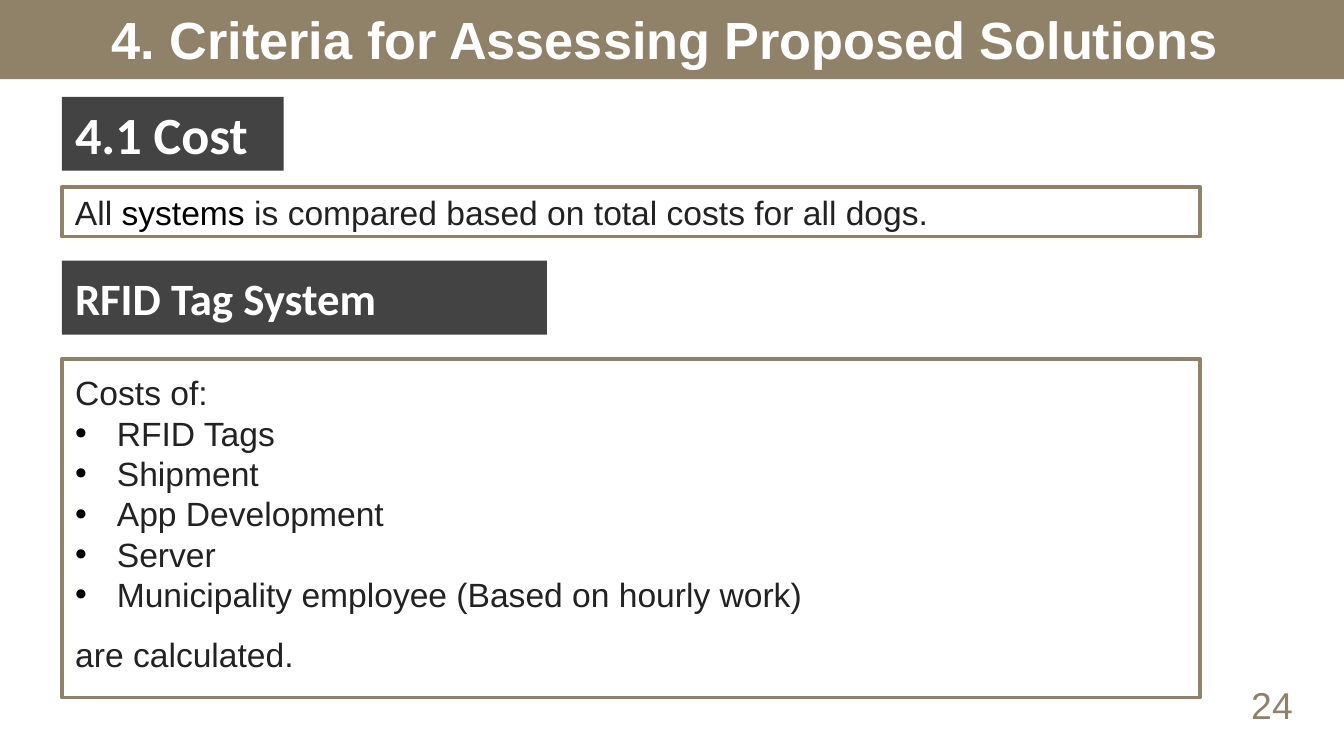
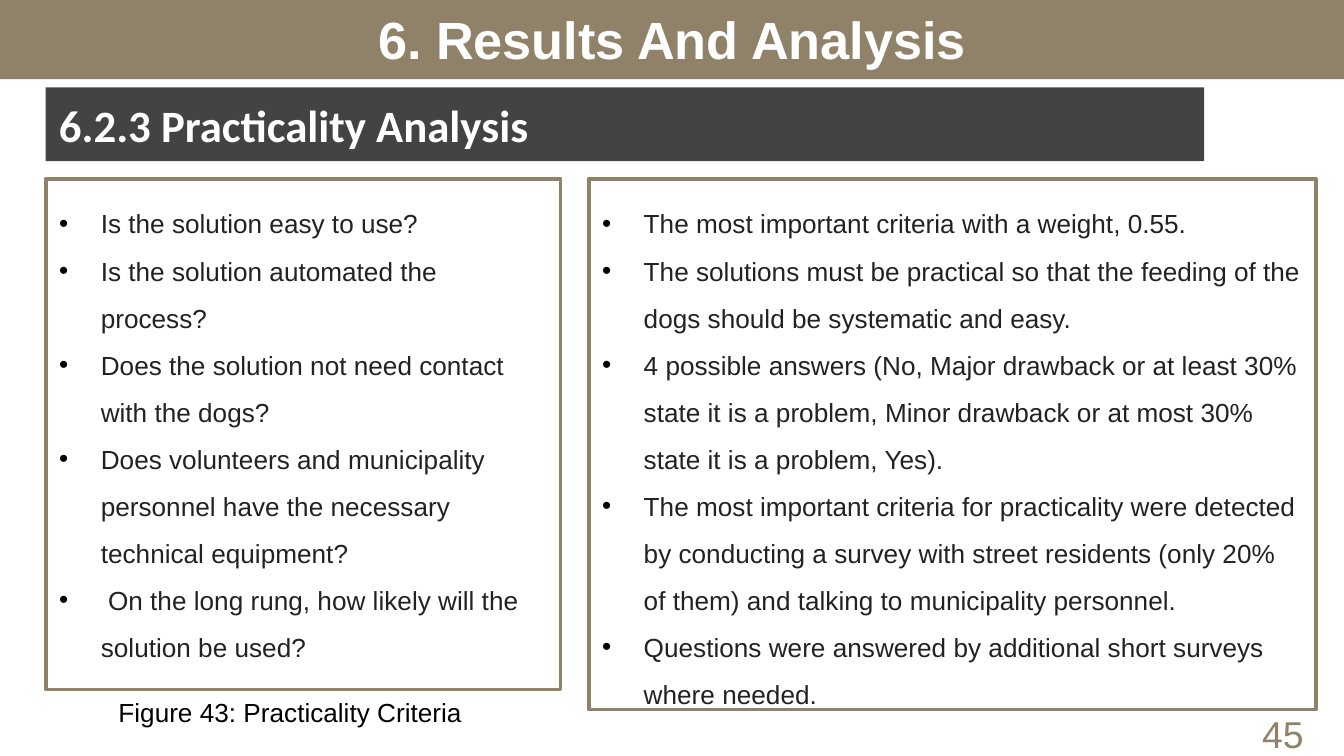
from lxml import etree
from pptx import Presentation
from pptx.dml.color import RGBColor
from pptx.enum import shapes, text
from pptx.oxml import ns
from pptx.util import Inches, Pt

SAND = RGBColor(0x90, 0x82, 0x69)
CHARCOAL = RGBColor(0x43, 0x43, 0x43)
INK = RGBColor(0x22, 0x22, 0x22)
BLACK = RGBColor(0, 0, 0)
WHITE = RGBColor(0xFF, 0xFF, 0xFF)

TITLE_AND_CONTENT, TWO_CONTENT = 1, 3
PAGE_WIDTH = Inches(10)
PAGE_HEIGHT = PAGE_WIDTH * 9 // 16
BAND = (0, -0.01, 10, 0.6)
BULLET_INDENT = 0.31

COST_ITEMS = [
    "RFID Tags",
    "Shipment",
    "App Development",
    "Server",
    "Municipality employee (Based on hourly work)",
]
PRACTICALITY_QUESTIONS = [
    "Is the solution easy to use?",
    "Is the solution automated the process?",
    "Does the solution not need contact with the dogs?",
    "Does volunteers and municipality personnel have the necessary technical equipment?",
    " On the long rung, how likely will the solution be used?",
]
PRACTICALITY_FINDINGS = [
    "The most important criteria with a weight, 0.55.",
    "The solutions must be practical so that the feeding of the dogs should be "
    "systematic and easy.",
    "4 possible answers (No, Major drawback or at least 30% state it is a problem, "
    "Minor drawback or at most 30% state it is a problem, Yes).",
    "The most important criteria for practicality were detected by conducting a survey "
    "with street residents (only 20% of them) and talking to municipality personnel.",
    "Questions were answered by additional short surveys where needed.",
]


def place(shape, area):
    shape.left, shape.top, shape.width, shape.height = map(Inches, area)


def set_frame(shape, anchor, inset=0.1):
    frame = shape.text_frame
    frame.word_wrap = True
    frame.auto_size = text.MSO_AUTO_SIZE.NONE
    frame.vertical_anchor = anchor
    frame.margin_left = frame.margin_right = Inches(0.1)
    frame.margin_top = frame.margin_bottom = Inches(inset)
    return frame


def add_span(para, words, size, color, font="Arial", bold=False):
    span = para.add_run()
    span.text = words
    span.font.name = font
    span.font.size = Pt(size)
    span.font.bold = bold
    span.font.color.rgb = color


def set_bullet(para, bulleted):
    properties = para._p.get_or_add_pPr()
    indent = Inches(BULLET_INDENT) if bulleted else 0
    properties.set("marL", str(indent))
    properties.set("indent", str(-indent))
    if not bulleted:
        etree.SubElement(properties, ns.qn("a:buNone"))
        return
    bullet_color = etree.SubElement(properties, ns.qn("a:buClr"))
    etree.SubElement(bullet_color, ns.qn("a:srgbClr"), val=str(BLACK))
    etree.SubElement(properties, ns.qn("a:buFont"), typeface="Arial")
    etree.SubElement(properties, ns.qn("a:buChar"), char="•")


def set_outline(shape):
    shape.fill.solid()
    shape.fill.fore_color.rgb = WHITE
    shape.line.color.rgb = SAND
    shape.line.width = Pt(2)


def add_rectangle(page, area, fill):
    box = page.shapes.add_shape(shapes.MSO_SHAPE.RECTANGLE, *map(Inches, area))
    box.shadow.inherit = False
    box.fill.solid()
    box.fill.fore_color.rgb = fill
    box.line.fill.background()
    return box


def add_page(deck, layout, title):
    page = deck.slides.add_slide(deck.slide_layouts[layout])
    band = add_rectangle(page, BAND, SAND)
    heading = page.shapes.title
    heading.element.addprevious(band.element)
    place(heading, BAND)
    para = set_frame(heading, text.MSO_ANCHOR.MIDDLE).paragraphs[0]
    para.alignment = text.PP_ALIGN.CENTER
    add_span(para, title, 28, WHITE, bold=True)
    return page


def add_section_label(page, area, words, size=24):
    label = add_rectangle(page, area, CHARCOAL)
    para = set_frame(label, text.MSO_ANCHOR.MIDDLE).paragraphs[0]
    para.alignment = text.PP_ALIGN.LEFT
    add_span(para, words, size, WHITE, "Calibri", True)


def add_statement(page, area, spans):
    box = add_rectangle(page, area, WHITE)
    set_outline(box)
    para = set_frame(box, text.MSO_ANCHOR.MIDDLE).paragraphs[0]
    para.alignment = text.PP_ALIGN.LEFT
    for words, color in spans:
        add_span(para, words, 18, color)


def add_caption(page, area, words, size, color):
    box = page.shapes.add_textbox(*map(Inches, area))
    para = set_frame(box, text.MSO_ANCHOR.TOP, 0.05).paragraphs[0]
    para.alignment = text.PP_ALIGN.CENTER
    add_span(para, words, size, color)


def fill_list(body, area, items, size):
    place(body, area)
    set_outline(body)
    frame = set_frame(body, text.MSO_ANCHOR.TOP)
    for index, (words, bulleted, spacing) in enumerate(items):
        para = frame.add_paragraph() if index else frame.paragraphs[0]
        set_bullet(para, bulleted)
        para.space_before = Pt(0)
        para.line_spacing = spacing
        add_span(para, words, size, INK)


def build_cost_page(deck):
    page = add_page(deck, TITLE_AND_CONTENT, "4. Criteria for Assessing Proposed Solutions ")
    add_section_label(page, (0.46, 0.72, 1.65, 0.55), "4.1 Cost", 28)
    add_statement(page, (0.46, 1.39, 8.47, 0.37), [
        ("All ", INK),
        ("systems", BLACK),
        (" is compared based on total costs for all dogs.", INK),
    ])
    add_section_label(page, (0.46, 1.94, 3.61, 0.55), "RFID Tag System")
    costs = [(item, True, 1.0) for item in COST_ITEMS]
    fill_list(
        page.placeholders[1],
        (0.46, 2.67, 8.47, 2.52),
        [("Costs of:", False, 1.0), *costs, ("are calculated.", False, 1.5)],
        18,
    )
    add_caption(page, (8.93, 5.03, 1.07, 0.44), "24", 20, SAND)


def build_practicality_page(deck):
    page = add_page(deck, TWO_CONTENT, "6. Results And Analysis")
    add_section_label(page, (0.34, 0.65, 8.62, 0.55), "6.2.3 Practicality Analysis")
    columns = [
        (1, (0.34, 1.33, 3.83, 3.8), PRACTICALITY_QUESTIONS),
        (2, (4.38, 1.33, 5.41, 3.95), PRACTICALITY_FINDINGS),
    ]
    for index, area, lines in columns:
        items = [(line, True, 1.5) for line in lines]
        fill_list(page.placeholders[index], area, items, 14)
    add_caption(page, (0.14, 5.13, 4.04, 0.34), "Figure 43: Practicality Criteria", 14, BLACK)
    add_caption(page, (9.09, 5.24, 0.91, 0.44), "45", 20, SAND)


def main():
    deck = Presentation()
    deck.slide_width, deck.slide_height = PAGE_WIDTH, PAGE_HEIGHT
    build_cost_page(deck)
    build_practicality_page(deck)
    deck.save("out.pptx")


if __name__ == "__main__":
    main()
